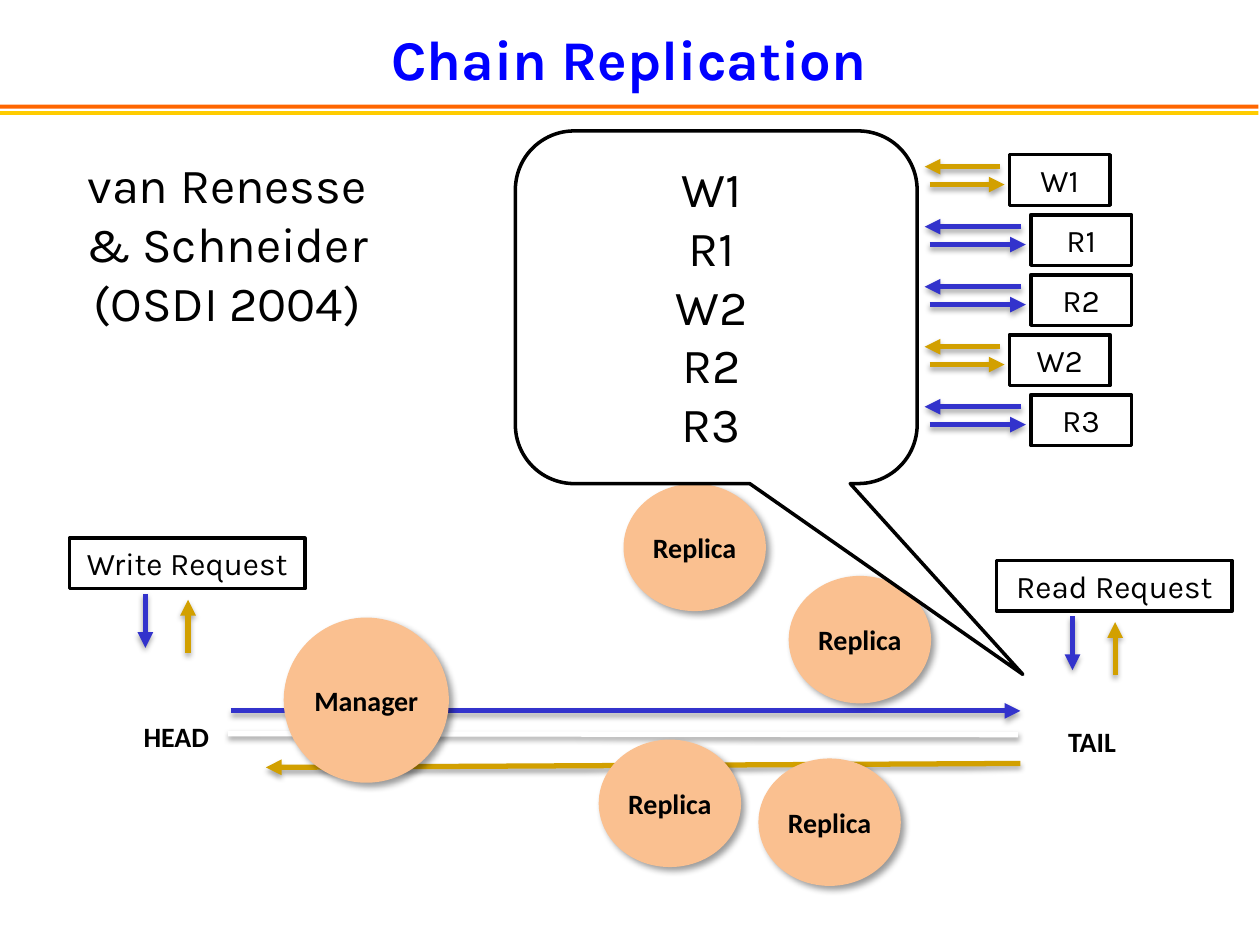
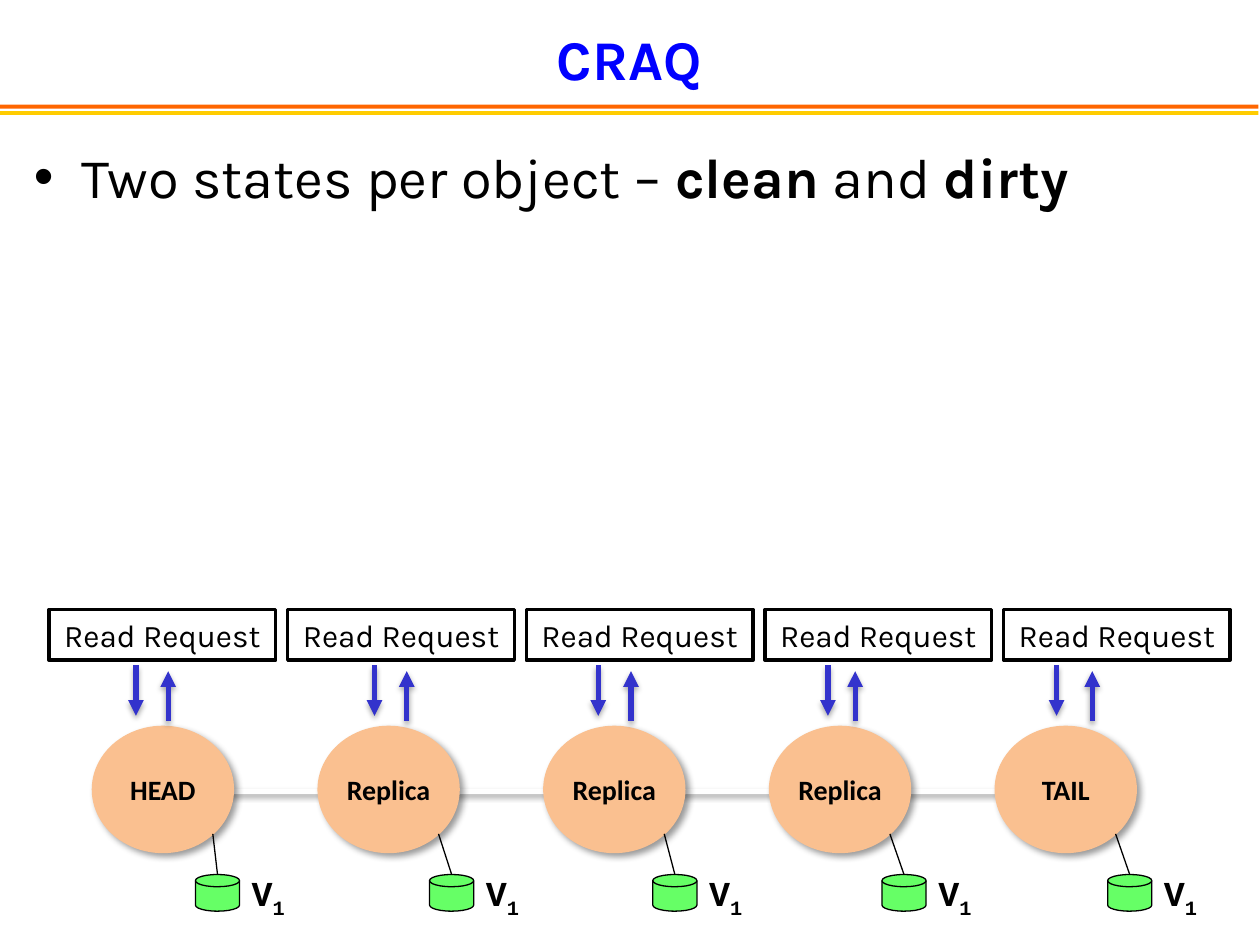
from dataclasses import dataclass
from typing import NamedTuple

from lxml import etree
from pptx import Presentation
from pptx import util as u
from pptx.dml.color import RGBColor
from pptx.enum import shapes, text
from pptx.oxml.ns import qn


@dataclass(frozen=True)
class Theme:
    heading: str = "0000FF"
    ink: str = "000000"
    paper: str = "FFFFFF"
    band_top: str = "FF6600"
    band_bottom: str = "FFCC00"
    node: str = "FAC090"
    blue: str = "3333CC"
    gold: str = "D2A000"
    disk: str = "66FF66"
    font: str = "Karla"
    node_font: str = "Calibri"
    version_font: str = "Courier New"
    title_size: int = 32
    quote_size: int = 28
    version_size: int = 20
    request_size: int = 18
    node_size: int = 16
    flow_width: float = 3
    frame_width: float = 2
    hair_width: float = 0.75


THEME = Theme()
NODE_SHADOW = dict(alpha=40, blur=4, distance=3, angle=45)
FLOW_SHADOW = dict(alpha=35, blur=3.15, distance=1.8, angle=90)
NODE_TEXT = dict(font=THEME.node_font, size=THEME.node_size, bold=True)


class Box(NamedTuple):
    left: float
    top: float
    width: float
    height: float

    def inside(self, left, top, width, height):
        return Box(self.left + left, self.top + top, width, height)

    def point(self, left, top):
        return self.left + left, self.top + top


def apply(target, values):
    for name, value in values.items():
        setattr(target, name, value)


def lengths(values):
    return [u.Cm(value) for value in values]


def add_shadow(shape, alpha, blur, distance, angle):
    properties = shape.element.spPr
    effects = properties.find(qn("a:effectLst"))
    shadow = etree.SubElement(effects, qn("a:outerShdw"), {
        "blurRad": str(u.Pt(blur)), "dist": str(u.Pt(distance)),
        "dir": str(angle * 60000), "rotWithShape": "0"})
    color = etree.SubElement(shadow, qn("a:srgbClr"), val=THEME.ink)
    etree.SubElement(color, qn("a:alpha"), val=str(alpha * 1000))


def style_run(run, size, font=THEME.font, bold=False, color=THEME.ink):
    apply(run.font, dict(name=font, size=u.Pt(size), bold=bold))
    run.font.color.rgb = RGBColor.from_string(color)
    return run


def write(shape, lines, anchor=text.MSO_ANCHOR.TOP, inset=None, wrap=True, **style):
    frame = shape.text_frame
    apply(frame, dict(word_wrap=wrap, vertical_anchor=anchor,
                      auto_size=text.MSO_AUTO_SIZE.NONE))
    if inset is not None:
        sides = ("margin_left", "margin_top", "margin_right", "margin_bottom")
        apply(frame, dict.fromkeys(sides, u.Cm(inset)))
    for index, line in enumerate(lines):
        paragraph = frame.add_paragraph() if index else frame.paragraphs[0]
        paragraph.alignment = text.PP_ALIGN.CENTER
        run = paragraph.add_run()
        run.text = line
        style_run(run, **style)


def add_form(slide, kind, box, fill, line_width=0):
    shape = slide.shapes.add_shape(kind, *lengths(box))
    shape.shadow.inherit = False
    shape.fill.solid()
    shape.fill.fore_color.rgb = RGBColor.from_string(fill)
    if line_width:
        shape.line.width = u.Pt(line_width)
        shape.line.color.rgb = RGBColor.from_string(THEME.ink)
    else:
        shape.line.fill.background()
    return shape


def add_line(slide, start, end, color=THEME.ink, width=THEME.hair_width):
    line = slide.shapes.add_connector(
        shapes.MSO_CONNECTOR.STRAIGHT, *lengths(start + end))
    line.line.width = u.Pt(width)
    line.line.color.rgb = RGBColor.from_string(color)
    etree.SubElement(line.element.spPr, qn("a:effectLst"))
    return line


def add_flow(slide, start, end, color, arrow=True):
    line = add_line(slide, start, end, color, THEME.flow_width)
    add_shadow(line, **FLOW_SHADOW)
    if arrow:
        outline = line.element.spPr.find(qn("a:ln"))
        etree.SubElement(outline, qn("a:tailEnd"), type="triangle")


def add_label(slide, box, lines, **style):
    label = slide.shapes.add_textbox(*lengths(box))
    write(label, lines, **style)
    return label


def add_node(slide, box, name):
    node = add_form(slide, shapes.MSO_SHAPE.OVAL, box, THEME.node)
    add_shadow(node, **NODE_SHADOW)
    write(node, [name], text.MSO_ANCHOR.MIDDLE, inset=0, **NODE_TEXT)


def add_frame(slide, box, caption):
    frame = add_form(slide, shapes.MSO_SHAPE.RECTANGLE, box,
                     THEME.paper, THEME.frame_width)
    write(frame, [caption], size=THEME.request_size)


def add_request(slide, box, caption, down, up, reach, reply_color):
    add_frame(slide, box, caption)
    add_flow(slide, box.point(down, 1.12), box.point(down, reach - 0.1), THEME.blue)
    add_flow(slide, box.point(up, reach), box.point(up, 1.24), reply_color)


def add_bands(presentation, slide):
    for top, color in ((2.11, THEME.band_top), (2.24, THEME.band_bottom)):
        band = add_form(slide, shapes.MSO_SHAPE.RECTANGLE,
                        Box(0, top, 25.37, 0.08), color)
        presentation.slide_master.shapes.element.append(band.element)


def place(shape, box):
    apply(shape, dict(zip(("left", "top", "width", "height"), lengths(box))))


def add_titled_slide(presentation, layout, title):
    slide = presentation.slides.add_slide(presentation.slide_layouts[layout])
    place(slide.shapes.title, Box(0, 0.43, 25.37, 1.47))
    write(slide.shapes.title, [title], text.MSO_ANCHOR.MIDDLE,
          size=THEME.title_size, bold=True, color=THEME.heading)
    return slide


def add_chain(slide, box):
    right = box.width
    add_flow(slide, box.point(right, 1.06), box.point(0.76, 1.14), THEME.gold)
    add_flow(slide, box.point(0.05, 0), box.point(right, 0), THEME.blue)
    add_flow(slide, box.point(0, 0.46), box.point(right - 0.05, 0.48),
             THEME.paper, arrow=False)
    add_node(slide, box.inside(1.12, -1.88, 3.33, 3.33), "Manager")
    for left, top in ((7.97, -4.58), (11.3, -2.72), (10.69, 0.96), (7.47, 0.58)):
        add_node(slide, box.inside(left, top, 2.87, 2.57), "Replica")
    for left, top, name in ((-2.77, 0.05, "HEAD"), (15.69, 0.15, "TAIL")):
        add_label(slide, box.inside(left, top, 3.45, 0.94), [name], **NODE_TEXT)


def add_order_callout(slide, box, operations):
    callout = add_form(slide, shapes.MSO_SHAPE.ROUNDED_RECTANGULAR_CALLOUT, box,
                       THEME.paper, THEME.frame_width)
    for index, value in enumerate((0.763, 1.041, 0.167)):
        callout.adjustments[index] = value
    add_label(slide, box.inside(2.16, 0.43, 3.58, 6.25), operations,
              size=THEME.quote_size)


def add_clients(slide, box, operations):
    pitch = 1.21
    for index, operation in enumerate(operations):
        is_write = operation.startswith("W")
        left = 1.71 if is_write else 2.14
        color = THEME.gold if is_write else THEME.blue
        row = box.inside(0, index * pitch, box.width, pitch)
        add_frame(slide, row.inside(left, 0, 2.03, 1.02), operation)
        add_flow(slide, row.point(left - 0.2, 0.24), row.point(0, 0.24), color)
        add_flow(slide, row.point(0.1, 0.6), row.point(left - 0.1, 0.6), color)


def build_chain_replication(presentation):
    slide = add_titled_slide(presentation, 5, "Chain Replication")
    add_bands(presentation, slide)
    add_chain(slide, Box(4.6, 14.33, 15.97, 1.14))
    for left, top, caption in ((1.4, 10.85, "Write Request"),
                               (20.09, 11.3, "Read Request")):
        add_request(slide, Box(left, top, 4.75, 1.02), caption,
                    down=1.53, up=2.39, reach=2.31, reply_color=THEME.gold)
    add_order_callout(slide, Box(10.39, 2.64, 8.1, 7.11),
                      ["W1", "R1", "W2", "R2", "R3"])
    add_label(slide, Box(0.97, 3, 7.21, 3.84),
              ["van Renesse & Schneider", "(OSDI 2004)"], size=THEME.quote_size)
    add_clients(slide, Box(18.64, 3.12, 4.17, 5.87), ["W1", "R1", "R2", "W2", "R3"])


def add_states_bullet(slide, box):
    body = slide.placeholders[1]
    place(body, box)
    body.text_frame.auto_size = text.MSO_AUTO_SIZE.NONE
    paragraph = body.text_frame.paragraphs[0]
    paragraph.space_before = u.Pt(18)
    for words, bold in (("Two states per object – ", False), ("clean", True),
                        (" and ", False), ("dirty", True)):
        run = paragraph.add_run()
        run.text = words
        style_run(run, THEME.title_size, bold=bold)


def add_version(slide, box, node_edge):
    add_line(slide, node_edge, box.point(box.width / 2, 0))
    add_form(slide, shapes.MSO_SHAPE.FLOWCHART_MAGNETIC_DISK, box,
             THEME.disk, THEME.hair_width)
    style = dict(size=THEME.version_size, font=THEME.version_font, bold=True)
    label = add_label(slide, box.inside(0.86, -0.18, 1.22, 1.12), ["V"],
                      wrap=False, **style)
    index = label.text_frame.paragraphs[0].add_run()
    index.text = "1"
    style_run(index, **style)
    index.font._element.set("baseline", "-25000")


def add_versioned_chain(slide, box):
    names = ["HEAD", "Replica", "Replica", "Replica", "TAIL"]
    disk_lefts = (2.95, 7.67, 12.17, 16.79, 21.34)
    request_arrows = ((1.75, 2.4), (1.75, 2.4), (1.45, 2.11), (1.27, 1.82), (1.07, 1.79))
    add_flow(slide, box.point(3.3, 3.66), box.point(19.23, 3.66),
             THEME.paper, arrow=False)
    for index, name in enumerate(names):
        node = box.inside(0.86 + index * 4.55, 2.34, 2.87, 2.57)
        add_node(slide, node, name)
        down, up = request_arrows[index]
        add_request(slide, box.inside(index * 4.81, 0, 4.57, 1.02), "Read Request",
                    down, up, reach=2.24, reply_color=THEME.blue)
        add_version(slide, box.inside(disk_lefts[index], 5.34, 0.89, 0.74),
                    node.point(2.44, 2.18))


def build_craq(presentation):
    slide = add_titled_slide(presentation, 1, "CRAQ")
    add_states_bullet(slide, Box(0.43, 2.74, 24.77, 2.67))
    add_versioned_chain(slide, Box(0.99, 12.29, 23.81, 6.08))


def main():
    presentation = Presentation()
    apply(presentation, dict(slide_width=u.Cm(25.4), slide_height=u.Cm(19.05)))
    build_chain_replication(presentation)
    build_craq(presentation)
    presentation.save("out.pptx")


if __name__ == "__main__":
    main()
